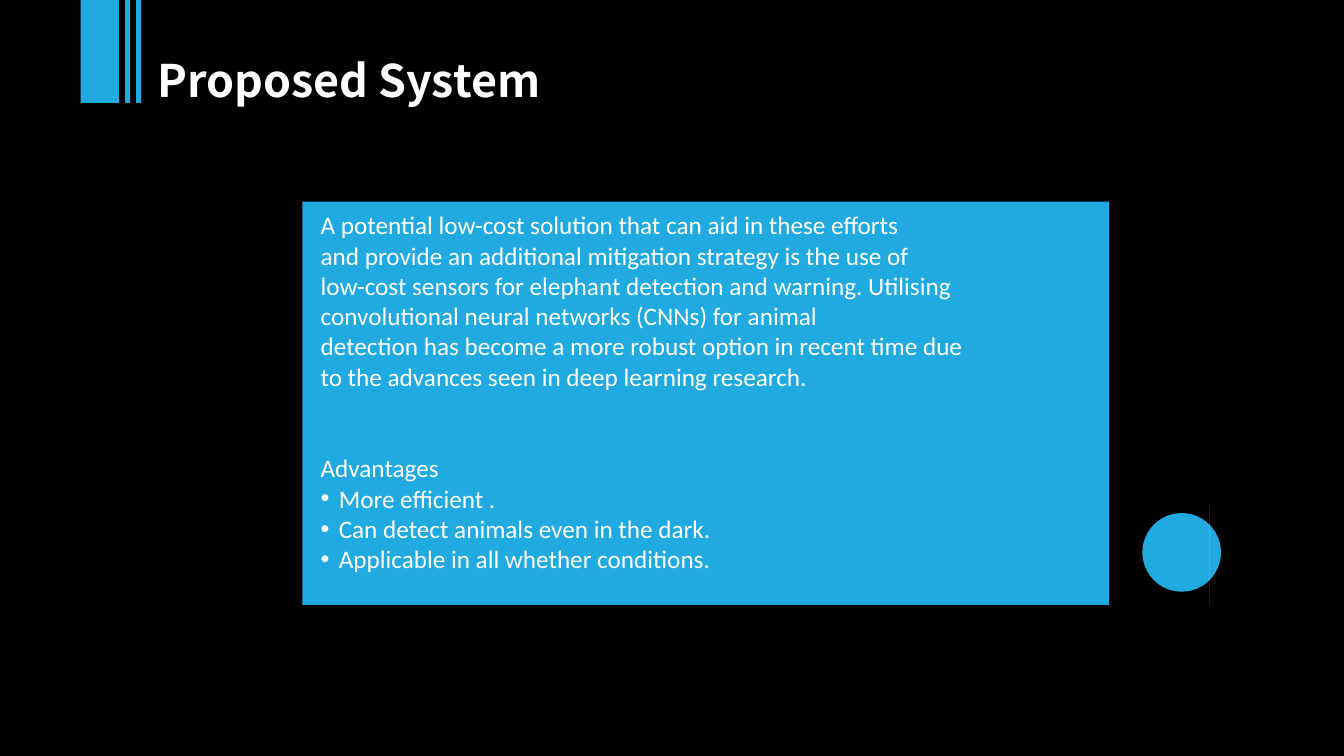
from math import cos, radians, sin

from pptx import Presentation
from pptx.dml.color import RGBColor
from pptx.enum.shapes import MSO_SHAPE as Shape
from pptx.enum.text import MSO_ANCHOR as Anchor, MSO_AUTO_SIZE as AutoSize, PP_ALIGN as Align
from pptx.oxml.ns import qn
from pptx.util import Inches, Pt

TITLE = "Proposed System"
SUMMARY = [
    "A potential low-cost solution that can aid in these efforts",
    "and provide an additional mitigation strategy is the use of",
    "low-cost sensors for elephant detection and warning. Utilising "
    "convolutional neural networks (CNNs) for animal",
    "detection has become a more robust option in recent time due",
    "to the advances seen in deep learning research.",
]
ADVANTAGES_HEADING = "Advantages"
ADVANTAGES = [
    "More efficient .",
    "Can detect animals even in the dark.",
    "Applicable in all whether conditions.",
]

BLUE, WHITE, BLACK = "21AAE0", "FFFFFF", "000000"
TITLE_FONT, BODY_FONT = "Noto Sans CJK SC", "Calibri"
BULLET_INDENT = 0.18

STRIPES = [(0.8, 0.38), (1.24, 0.05), (1.35, 0.05)]  # left, width
STRIPE_HEIGHT = 1.02

BUBBLE_LEFT, BUBBLE_RIGHT, BUBBLE_TOP, BUBBLE_MIDDLE = 2.52, 11.03, 1.58, 3.75
CORNER_WIDTH, CORNER_HEIGHT = 0.39, 1.78
POINTER_TIP = 11.2

BADGE_LEFT, BADGE_TOP, BADGE_SIZE = 11.33, 5.09, 0.78
TROPHY_TOP = 5.3
# Right half of the trophy: distance from its axis, distance from its top
TROPHY_EDGE = [
    (0.07, 0), (0.08, 0.01), (0.09, 0.03), (0.09, 0.05), (0.15, 0.05), (0.16, 0.07),
    (0.16, 0.11), (0.15, 0.13), (0.13, 0.16), (0.1, 0.18), (0.05, 0.2), (0.03, 0.22),
    (0.04, 0.24), (0.05, 0.25), (0.05, 0.26), (0.07, 0.27), (0.09, 0.28), (0.1, 0.29),
    (0.1, 0.32),
]
TROPHY_HANDLE = [
    (0.08, 0.08), (0.13, 0.08), (0.13, 0.11), (0.12, 0.13), (0.1, 0.15), (0.07, 0.16),
    (0.08, 0.12),
]


def color(hex_code):
    return RGBColor.from_string(hex_code)


def paint(shape, hex_code):
    shape.fill.solid()
    shape.fill.fore_color.rgb = color(hex_code)
    shape.line.fill.background()
    shape.shadow.inherit = False


def add_outline(slide, contours, hex_code):
    """Draw closed contours, given in inches, as one shape; inner ones are holes."""
    first, *holes = contours
    builder = slide.shapes.build_freeform(*first[0], scale=Inches(1))
    builder.add_line_segments(first[1:], close=True)
    for hole in holes:
        builder.move_to(*hole[0])
        builder.add_line_segments(hole[1:], close=True)
    paint(builder.convert_to_shape(), hex_code)


def corner(center_x, start, end):
    center_y = BUBBLE_TOP + CORNER_HEIGHT
    return [
        (center_x + CORNER_WIDTH * cos(radians(a)), center_y + CORNER_HEIGHT * sin(radians(a)))
        for a in range(start, end + 1, 5)
    ]


def add_bubble(slide):
    upper = corner(BUBBLE_LEFT + CORNER_WIDTH, 180, 270)
    upper += corner(BUBBLE_RIGHT - CORNER_WIDTH, 270, 355)
    lower = [(x, 2 * BUBBLE_MIDDLE - y) for x, y in reversed(upper)]
    add_outline(slide, [upper + [(POINTER_TIP, BUBBLE_MIDDLE)] + lower], BLUE)


def add_badge(slide):
    size = Inches(BADGE_SIZE)
    disc = slide.shapes.add_shape(
        Shape.OVAL, Inches(BADGE_LEFT), Inches(BADGE_TOP), size, size)
    paint(disc, BLUE)
    axis = BADGE_LEFT + BADGE_SIZE / 2

    def place(points, side):
        return [(axis + side * dx, TROPHY_TOP + dy) for dx, dy in points]

    cup = place(TROPHY_EDGE, 1) + place(TROPHY_EDGE[::-1], -1)
    handles = [place(TROPHY_HANDLE, side) for side in (1, -1)]
    add_outline(slide, [cup] + handles, WHITE)


def set_frame(placeholder, left, top, width, height):
    placeholder.left, placeholder.top = Inches(left), Inches(top)
    placeholder.width, placeholder.height = Inches(width), Inches(height)
    frame = placeholder.text_frame
    frame.word_wrap = True
    frame.auto_size = AutoSize.NONE
    frame.vertical_anchor = Anchor.TOP
    return frame


def add_text(paragraph, text, font_name, size, bold=False):
    run = paragraph.add_run()
    run.text = text
    run.font.name, run.font.size, run.font.bold = font_name, Pt(size), bold
    run.font.color.rgb = color(WHITE)


def set_bullet(paragraph, bulleted):
    indent = Inches(BULLET_INDENT) if bulleted else 0
    properties = paragraph._p.get_or_add_pPr()
    properties.set("marL", str(indent))
    properties.set("indent", str(-indent))
    if bulleted:
        bullet = properties.makeelement(qn("a:buChar"), {"char": "•"})
    else:
        bullet = properties.makeelement(qn("a:buNone"), {})
    properties.append(bullet)


def fill_title(placeholder):
    frame = set_frame(placeholder, 1.56, 0.42, 3.97, 0.65)
    frame.margin_left = frame.margin_right = frame.margin_top = frame.margin_bottom = 0
    heading = frame.paragraphs[0]
    heading.alignment = Align.LEFT
    heading.line_spacing = 1.2
    add_text(heading, TITLE, TITLE_FONT, 32, bold=True)


def fill_body(placeholder):
    frame = set_frame(placeholder, 3.08, 2.03, 7.37, 4.04)
    lines = SUMMARY + [ADVANTAGES_HEADING] + ADVANTAGES
    for number, line in enumerate(lines):
        paragraph = frame.add_paragraph() if number else frame.paragraphs[0]
        set_bullet(paragraph, number > len(SUMMARY))
        paragraph.alignment = Align.LEFT if number < len(SUMMARY) else Align.JUSTIFY
        paragraph.space_before = Pt(44 if number == len(SUMMARY) else 0)
        add_text(paragraph, line, BODY_FONT, 18)


def main():
    deck = Presentation()
    deck.slide_width, deck.slide_height = Inches(13.33), Inches(7.5)
    slide = deck.slides.add_slide(deck.slide_layouts[1])
    slide.background.fill.solid()
    slide.background.fill.fore_color.rgb = color(BLACK)

    title, body = slide.placeholders
    add_badge(slide)
    add_bubble(slide)
    for left, width in STRIPES:
        stripe = slide.shapes.add_shape(
            Shape.RECTANGLE, Inches(left), 0, Inches(width), Inches(STRIPE_HEIGHT))
        paint(stripe, BLUE)

    fill_title(title)
    fill_body(body)
    for placeholder in (title, body):  # bring the text in front of the bubble
        slide.shapes._spTree.append(placeholder._element)
    deck.save("out.pptx")


if __name__ == "__main__":
    main()
